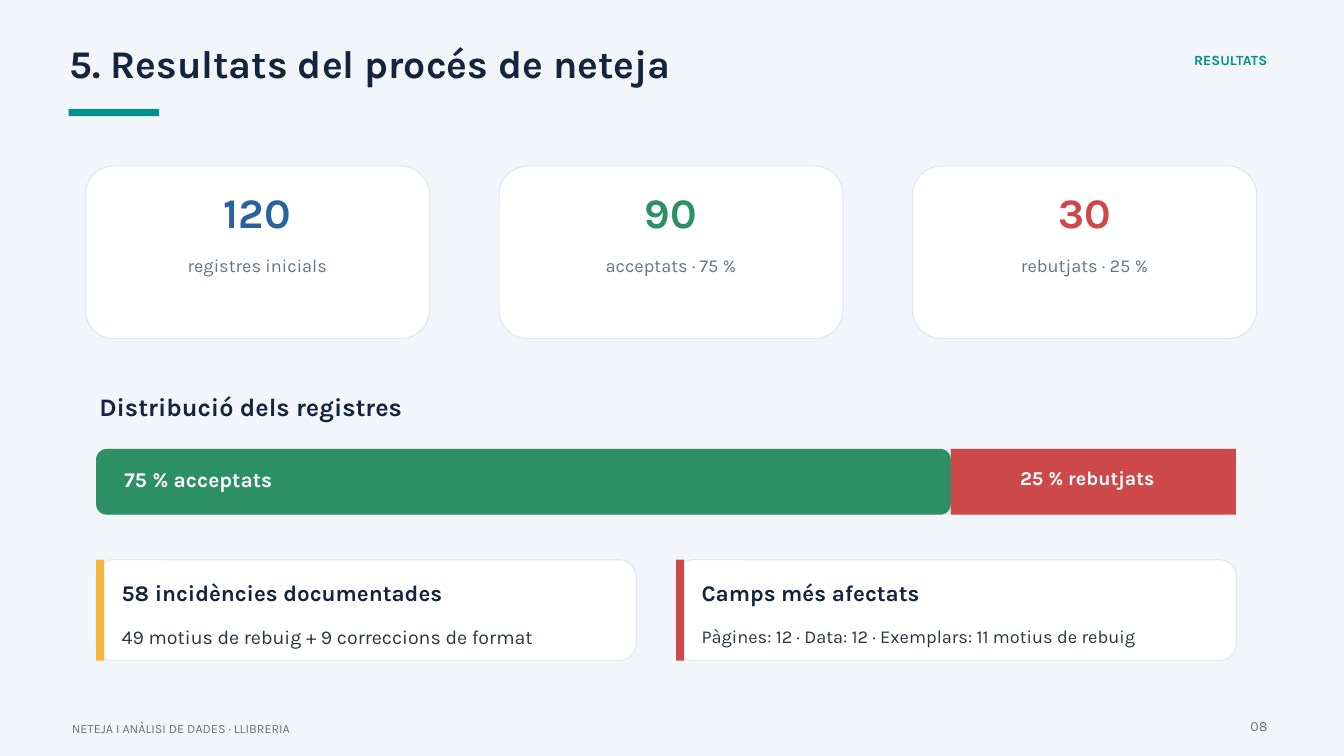
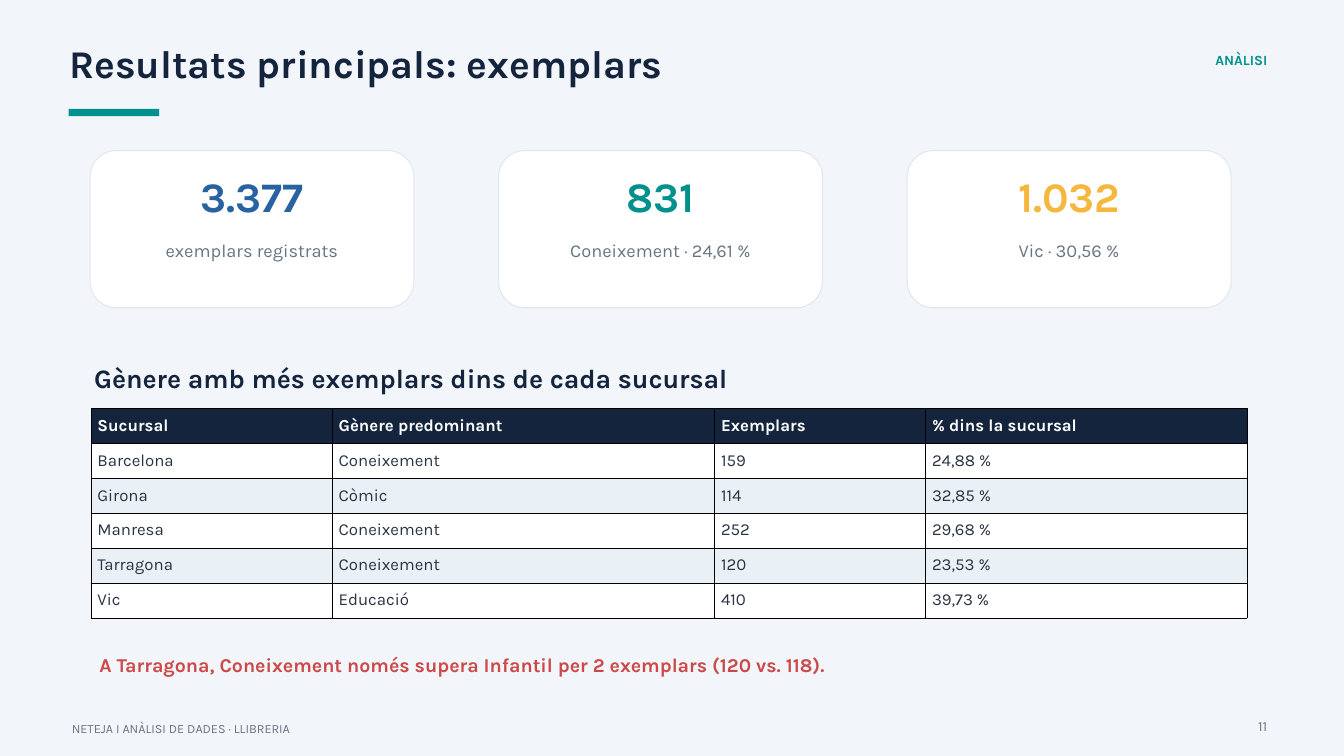
"""Build two slides on the results of a bookshop data cleaning and analysis."""
from lxml import etree
from pptx import Presentation
from pptx.dml.color import RGBColor
from pptx.enum.shapes import MSO_SHAPE
from pptx.enum.text import MSO_ANCHOR, MSO_AUTO_SIZE, PP_ALIGN
from pptx.oxml.ns import qn
from pptx.util import Inches, Pt

RECT, ROUND = MSO_SHAPE.RECTANGLE, MSO_SHAPE.ROUNDED_RECTANGLE
LEFT, CENTER, RIGHT = PP_ALIGN.LEFT, PP_ALIGN.CENTER, PP_ALIGN.RIGHT
TOP, NO_FIT = MSO_ANCHOR.TOP, MSO_AUTO_SIZE.NONE
TITLE_ONLY = 5
FONT = "Karla"
COLORS = {
    "background": "F2F6FA", "navy": "14243D", "teal": "00918C", "blue": "2962A0",
    "green": "2D8F64", "red": "CD4949", "amber": "F5B73D", "gray": "677482",
    "text": "2A3441", "white": "FFFFFF", "border": "E1E7EE", "track": "E1E8EF",
    "stripe": "E9F0F6", "black": "000000",
}

FOOTER = "NETEJA I ANÀLISI DE DADES · LLIBRERIA"
CLEANING = {
    "title": "5. Resultats del procés de neteja", "section": "RESULTATS", "page": "08",
    "metrics": [("120", "registres inicials", "blue"),
                ("90", "acceptats · 75 %", "green"),
                ("30", "rebutjats · 25 %", "red")],
    "heading": "Distribució dels registres",
    "accepted_share": 0.75,
    "accepted": "75 % acceptats",
    "rejected": "25 % rebutjats",
    "notes": [
        (1.43, 8.04, "amber", "58 incidències documentades",
         "49 motius de rebuig + 9 correccions de format", 21),
        (10.06, 8.34, "red", "Camps més afectats",
         "Pàgines: 12 · Data: 12 · Exemplars: 11 motius de rebuig", 19.5),
    ],
}
COPIES = {
    "title": "Resultats principals: exemplars", "section": "ANÀLISI", "page": "11",
    "metrics": [("3.377", "exemplars registrats", "blue"),
                ("831", "Coneixement · 24,61 %", "teal"),
                ("1.032", "Vic · 30,56 %", "amber")],
    "heading": "Gènere amb més exemplars dins de cada sucursal",
    "columns": [3.59, 5.69, 3.14, 4.79],
    "rows": [
        ("Sucursal", "Gènere predominant", "Exemplars", "% dins la sucursal"),
        ("Barcelona", "Coneixement", "159", "24,88 %"),
        ("Girona", "Còmic", "114", "32,85 %"),
        ("Manresa", "Coneixement", "252", "29,68 %"),
        ("Tarragona", "Coneixement", "120", "23,53 %"),
        ("Vic", "Educació", "410", "39,73 %"),
    ],
    "remark": "A Tarragona, Coneixement només supera Infantil per 2 exemplars (120 vs. 118).",
}


def rgb(name):
    return RGBColor.from_string(COLORS[name])


def write(tf, text, size, color="navy", bold=False, align=LEFT):
    p = tf.paragraphs[0]
    p.alignment = align
    p.line_spacing = Pt(size * 1.2)
    r = p.add_run()
    r.text = text
    r.font.name, r.font.size, r.font.bold = FONT, Pt(size), bold
    r.font.color.rgb = rgb(color)


def prepare(sp, left, top, width, height):
    sp.left, sp.top = Inches(left), Inches(top)
    sp.width, sp.height = Inches(width), Inches(height)
    tf = sp.text_frame
    tf.word_wrap, tf.auto_size, tf.vertical_anchor = True, NO_FIT, TOP
    tf.margin_left = tf.margin_top = tf.margin_right = tf.margin_bottom = 0
    return tf


def add_text(slide, text, left, top, width, height, **style):
    sp = slide.shapes.add_textbox(0, 0, 0, 0)
    write(prepare(sp, left, top, width, height), text, **style)


def add_box(slide, left, top, width, height, fill, radius=0, border=None):
    sp = slide.shapes.add_shape(ROUND if radius else RECT, Inches(left), Inches(top),
                                Inches(width), Inches(height))
    sp.shadow.inherit = False
    sp.fill.solid()
    sp.fill.fore_color.rgb = rgb(fill)
    if radius:
        sp.adjustments[0] = radius / min(width, height)
    if border:
        sp.line.color.rgb = rgb(border)
        sp.line.width = Pt(1.13)
    else:
        sp.line.fill.background()


def add_frame(prs, content):
    slide = prs.slides.add_slide(prs.slide_layouts[TITLE_ONLY])
    tf = prepare(slide.shapes.title, 1.03, 0.58, 14.2, 0.83)
    write(tf, content["title"], 42, bold=True)
    add_box(slide, 1.02, 1.62, 1.35, 0.11, "teal")
    add_text(slide, content["section"], 15.51, 0.77, 3.35, 0.35,
             size=15, color="teal", bold=True, align=RIGHT)
    add_text(slide, FOOTER, 1.07, 10.73, 12.66, 0.21, size=13.5, color="gray")
    add_text(slide, content["page"], 18.21, 10.68, 0.65, 0.28,
             size=15, color="gray", align=RIGHT)
    return slide


def add_metrics(slide, metrics, left, top, width, height, step):
    for i, (value, label, color) in enumerate(metrics):
        x = left + i * step
        add_box(slide, x, top, width, height, "white", height / 6, "border")
        add_text(slide, value, x + 0.21, top + 0.3, width - 0.42, 0.83,
                 size=45, color=color, bold=True, align=CENTER)
        add_text(slide, label, x + 0.24, top + 1.32, width - 0.48, 0.8,
                 size=19.5, color="gray", align=CENTER)


def add_share_bar(slide, content, left, top, width, height):
    split = width * content["accepted_share"]
    add_box(slide, left, top, width, height, "track", 0.16)
    add_box(slide, left, top, split, height, "green", 0.16)
    add_box(slide, left + split, top, width - split, height, "red")
    add_text(slide, content["accepted"], left + 0.42, top + 0.26, 4.7, 0.35,
             size=22.5, color="white", bold=True)
    add_text(slide, content["rejected"], left + split + 0.24, top + 0.25, 3.58, 0.36,
             size=21, color="white", bold=True, align=CENTER)


def add_note(slide, left, width, color, heading, body, size):
    top = 8.33
    add_box(slide, left, top, width, 1.5, "white", 0.25, "border")
    add_box(slide, left, top, 0.12, 1.5, color)
    add_text(slide, heading, left + 0.38, top + 0.29, width - 0.7, 0.47, size=24, bold=True)
    add_text(slide, body, left + 0.38, top + 0.97, width - 0.7, 0.33, size=size, color="text")


def add_borders(cell):
    pr = cell._tc.get_or_add_tcPr()
    for i, side in enumerate(("a:lnL", "a:lnR", "a:lnT", "a:lnB")):
        ln = etree.Element(qn(side), w=str(Pt(0.37)))
        fill = etree.SubElement(ln, qn("a:solidFill"))
        etree.SubElement(fill, qn("a:srgbClr"), val=COLORS["black"])
        pr.insert(i, ln)


def add_genre_table(slide, rows, columns, left, top, row_height):
    frame = slide.shapes.add_table(len(rows), len(columns), Inches(left), Inches(top),
                                   Inches(sum(columns)), Inches(row_height * len(rows)))
    table = frame.table
    for column, width in zip(table.columns, columns):
        column.width = Inches(width)
    for i, row in enumerate(rows):
        header = i == 0
        fill = "navy" if header else "white" if i % 2 else "stripe"
        for j, text in enumerate(row):
            cell = table.cell(i, j)
            cell.margin_left = cell.margin_right = Inches(0.1)
            cell.margin_top = cell.margin_bottom = Inches(0.1)
            cell.fill.solid()
            cell.fill.fore_color.rgb = rgb(fill)
            write(cell.text_frame, text, 18, "white" if header else "text", header)
            add_borders(cell)


def build_cleaning(prs):
    slide = add_frame(prs, CLEANING)
    add_metrics(slide, CLEANING["metrics"], 1.27, 2.47, 5.12, 2.57, 6.155)
    add_text(slide, CLEANING["heading"], 1.48, 5.83, 5.9, 0.43, size=27, bold=True)
    add_share_bar(slide, CLEANING, 1.43, 6.68, 16.96, 0.98)
    for note in CLEANING["notes"]:
        add_note(slide, *note)


def build_copies(prs):
    slide = add_frame(prs, COPIES)
    add_metrics(slide, COPIES["metrics"], 1.34, 2.24, 4.82, 2.34, 6.08)
    add_text(slide, COPIES["heading"], 1.4, 5.38, 11.91, 0.5, size=28.5, bold=True)
    add_genre_table(slide, COPIES["rows"], COPIES["columns"], 1.35, 6.08, 0.52)
    add_text(slide, COPIES["remark"], 1.48, 9.72, 17.01, 0.44,
             size=21, color="red", bold=True)


def main():
    prs = Presentation()
    prs.slide_width, prs.slide_height = Inches(20), Inches(11.25)
    background = prs.slide_master.background.fill
    background.solid()
    background.fore_color.rgb = rgb("background")
    build_cleaning(prs)
    build_copies(prs)
    prs.save("out.pptx")


if __name__ == "__main__":
    main()
